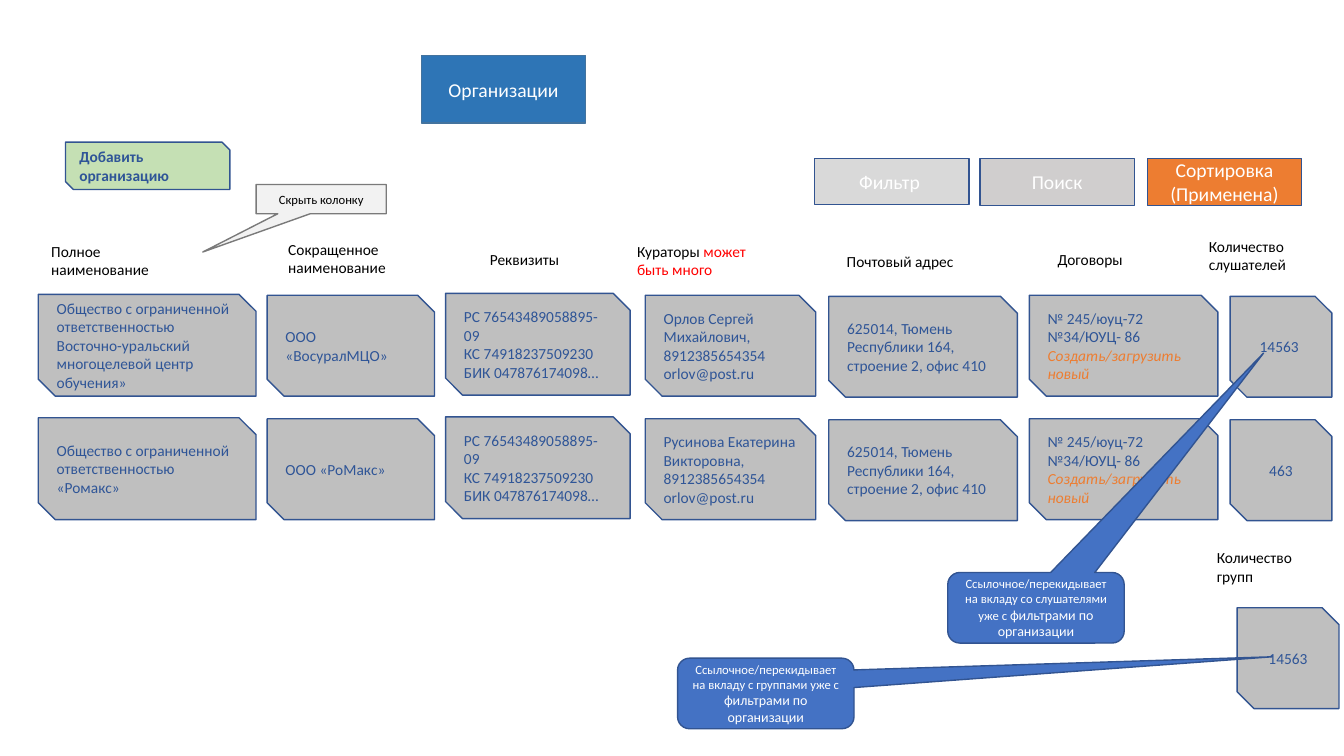
from dataclasses import dataclass, field
from typing import NamedTuple

from lxml import etree
from pptx import Presentation, util as u
from pptx.dml import color as dml
from pptx.enum import shapes as s, text as t
from pptx.oxml import ns

KIND = s.MSO_SHAPE
LEFT, MID = t.PP_ALIGN.LEFT, t.PP_ALIGN.CENTER
WHITE, BLACK, NAVY, EDGE = "FFFFFF", "000000", "2F5597", "325491"
ORANGE, GREY = "ED7D31", "BFBFBF"


class Run(NamedTuple):
    text: str
    hue: str = NAVY
    size: float = 11
    bold: bool = False
    slant: bool = False


Lines = list[list[Run]]


class Place(NamedTuple):
    left: float
    top: float
    width: float
    height: float


@dataclass
class Box:
    place: Place
    lines: Lines
    fill: str = GREY
    kind: KIND = KIND.SNIP_2_DIAG_RECTANGLE
    align: t.PP_ALIGN = LEFT
    edge: str = EDGE
    bends: list[float] = field(default_factory=list)


@dataclass
class Label:
    place: Place
    lines: Lines
    wrap: bool = False


class Column(NamedTuple):
    left: float
    top: float
    width: float
    height: float
    cells: list[Lines]
    align: t.PP_ALIGN = LEFT


def paint(item, hue: str) -> None:
    if hasattr(item, "solid"):
        item.solid()
        item = item.fore_color
    item.rgb = dml.RGBColor.from_string(hue)


def apply(item, values: dict) -> None:
    for name, value in values.items():
        setattr(item, name, value)


def plain(words: str, hue: str = NAVY, size: float = 11, bold: bool = False) -> Lines:
    return [[Run(line, hue, size, bold)] for line in words.split("\n")]


def write(frame, lines: Lines, align: t.PP_ALIGN) -> None:
    for index, runs in enumerate(lines):
        para = frame.add_paragraph() if index else frame.paragraphs[0]
        para.alignment = align
        for run in runs:
            part = para.add_run()
            part.text = run.text
            apply(part.font, {"name": "Calibri", "size": u.Pt(run.size),
                              "bold": run.bold, "italic": run.slant})
            paint(part.font.color, run.hue)


def style(shape, box: Box) -> None:
    shape.shadow.inherit = False
    paint(shape.fill, box.fill)
    paint(shape.line.fill, box.edge)
    shape.line.width = u.Pt(1)
    apply(shape.text_frame, {"word_wrap": True, "auto_size": t.MSO_AUTO_SIZE.NONE,
                             "vertical_anchor": t.MSO_ANCHOR.MIDDLE})
    write(shape.text_frame, box.lines, box.align)


def draw_box(slide, box: Box) -> None:
    shape = slide.shapes.add_shape(box.kind, *map(u.Inches, box.place))
    for index, bend in enumerate(box.bends):
        shape.adjustments[index] = bend
    style(shape, box)


def draw_label(slide, label: Label) -> None:
    frame = slide.shapes.add_textbox(*map(u.Inches, label.place)).text_frame
    apply(frame, {"word_wrap": label.wrap,
                  "auto_size": t.MSO_AUTO_SIZE.SHAPE_TO_FIT_TEXT})
    write(frame, label.lines, LEFT)


def draw_title(slide, box: Box) -> None:
    title = slide.shapes.title
    apply(title, {name: u.Inches(value) for name, value in box.place._asdict().items()})
    outline = etree.SubElement(title.element.spPr, ns.qn("a:prstGeom"), prst="round2SameRect")
    etree.SubElement(outline, ns.qn("a:avLst"))
    style(title, box)


def button(left: float, width: float, height: float, words: str, fill: str) -> Box:
    return Box(Place(left, 1.57, width, height), plain(words, WHITE, 14), fill,
               KIND.RECTANGLE, MID)


def hint(left: float, top: float, theme: str, bends: list[float]) -> Box:
    runs = [Run(f"Ссылочное/перекидывает на вкладу {theme} уже с ", WHITE, 9),
            Run("фильтрами по организации", WHITE, 10)]
    return Box(Place(left, top, 1.75, 0.7), [runs], "4472C4",
               KIND.ROUNDED_RECTANGULAR_CALLOUT, MID, bends=bends)


def deals(action: str) -> Lines:
    return plain("№ 245/юуц-72\n№34/ЮУЦ- 86") + [
        [Run(line, ORANGE, slant=True)] for line in action.split("\n")]


STEP = 1.225
BANK = plain("РС 76543489058895-09\nКС 74918237509230\nБИК 047876174098…")
POST = plain("625014, Тюмень Республики 164, строение 2, офис 410")
PHONE = "\n8912385654354\norlov@post.ru"

TITLE = Box(Place(4.18, 0.55, 1.63, 0.67), plain("Организации", WHITE, 14),
            "2E75B6", align=MID, edge="43739E")

COLUMNS = [
    Column(0.38, 2.92, 2.16, 1.01, [
        plain("Общество с ограниченной ответственностью "
              "Восточно-уральский многоцелевой центр обучения»"),
        plain("Общество с ограниченной ответственностью «Ромакс»")]),
    Column(2.65, 2.93, 1.66, 1, [plain("ООО «ВосуралМЦО»"), plain("ООО «РоМакс»")]),
    Column(4.42, 2.91, 1.83, 1.01, [BANK, BANK]),
    Column(6.4, 2.93, 1.69, 1, [plain("Орлов Сергей Михайлович," + PHONE),
                                plain("Русинова Екатерина Викторовна," + PHONE)]),
    Column(8.22, 2.94, 1.87, 1, [POST, POST]),
    Column(10.21, 2.93, 1.87, 1, [deals("Создать/загрузить новый"),
                                  deals("Создать/загрузить\nновый")]),
    Column(12.2, 2.94, 1.01, 1, [plain("14563 "), plain("463")], MID),
]

LABELS = [
    Label(Place(0.41, 2.35, 1.18, 0.47), plain("Полное\nнаименование", BLACK)),
    Label(Place(2.76, 2.33, 1.18, 0.47), plain("Сокращенное\nнаименование", BLACK)),
    Label(Place(4.76, 2.43, 0.9, 0.29), plain("Реквизиты", BLACK)),
    Label(Place(6.22, 2.35, 1.57, 0.47),
          [[Run("Кураторы ", BLACK), Run("может быть много", "FF0000")]], True),
    Label(Place(8.3, 2.45, 1.27, 0.29), plain("Почтовый адрес", BLACK)),
    Label(Place(10.39, 2.43, 0.85, 0.29), plain("Договоры", BLACK)),
    Label(Place(11.89, 2.3, 1.01, 0.47), plain("Количество\nслушателей", BLACK)),
    Label(Place(11.97, 5.39, 0.96, 0.47), plain("Количество\nгрупп", BLACK)),
]

TOOLS = [
    Box(Place(0.65, 1.41, 1.63, 0.47), plain("Добавить организацию", bold=True), "C5E0B4"),
    button(8.08, 1.53, 0.46, "Фильтр ", "D9D9D9"),
    button(9.72, 1.53, 0.47, "Поиск", "D0CECE"),
    button(11.38, 1.53, 0.47, "Сортировка\n(Применена)", ORANGE),
]

NOTES = [
    Box(Place(12.27, 6.03, 1.01, 1), plain("14563"), align=MID),
    Box(Place(2.54, 1.83, 1.29, 0.29), plain("Скрыть колонку", BLACK, 9), "F2F2F2",
        KIND.RECTANGULAR_CALLOUT, MID, "7A7A7A", [-0.91, 1.81]),
    hint(9.4, 5.68, "со слушателями", [1.29, -3.61, 0.17]),
    hint(6.72, 6.53, "с группами", [2.87, -0.52, 0.17]),
]


def main() -> None:
    deck = Presentation()
    apply(deck, {"slide_width": u.Inches(13.33), "slide_height": u.Inches(7.5)})
    slide = deck.slides.add_slide(deck.slide_layouts[5])
    draw_title(slide, TITLE)
    cells = [Box(Place(col.left, col.top + row * STEP, col.width, col.height),
                 lines, align=col.align)
             for col in COLUMNS for row, lines in enumerate(col.cells)]
    for label in LABELS:
        draw_label(slide, label)
    for box in TOOLS + cells + NOTES:
        draw_box(slide, box)
    deck.save("out.pptx")


if __name__ == "__main__":
    main()
